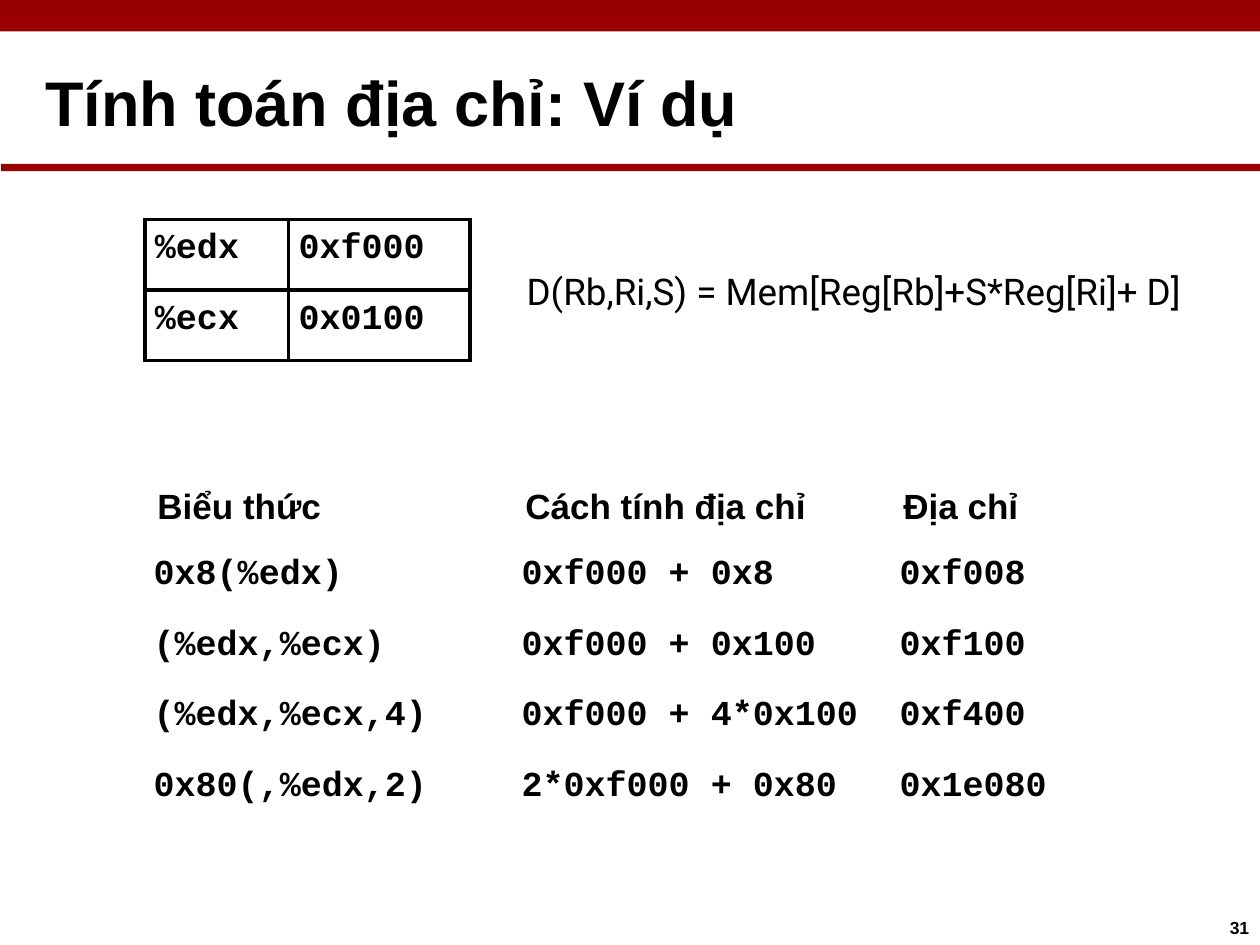
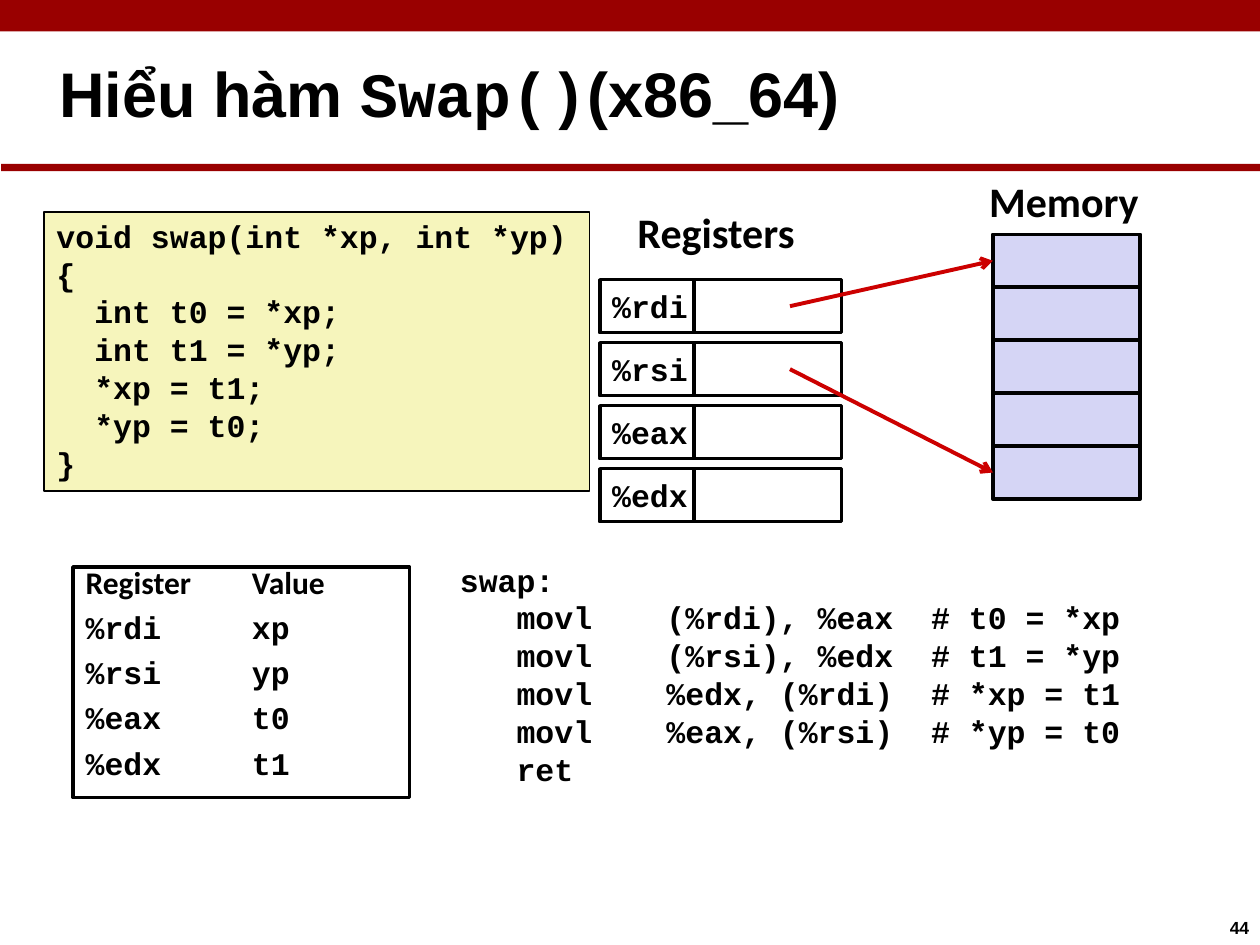
from dataclasses import dataclass

from lxml import etree
from pptx import Presentation
from pptx.dml.color import RGBColor
from pptx.enum.shapes import MSO_CONNECTOR, MSO_SHAPE
from pptx.enum.text import MSO_ANCHOR, MSO_AUTO_SIZE, PP_ALIGN
from pptx.oxml.ns import qn
from pptx.util import Inches, Pt


@dataclass(frozen=True)
class TextStyle:
    font: str
    size: float
    bold: bool = True
    pitch: float = 0  # exact line distance in points, 0 for natural


@dataclass(frozen=True)
class Theme:
    band: str = "990000"
    ink: str = "000000"
    paper: str = "FFFFFF"
    code_fill: str = "F6F5BC"
    memory_fill: str = "D5D5F5"
    arrow: str = "CC0000"
    title: TextStyle = TextStyle("Arial", 36)
    title_code: TextStyle = TextStyle("Courier New", 36)
    column_head: TextStyle = TextStyle("Arial", 20, pitch=22.1)
    value: TextStyle = TextStyle("Courier New", 20, pitch=20.7)
    cell: TextStyle = TextStyle("Courier New", 20)
    formula: TextStyle = TextStyle("Roboto", 21, bold=False)
    code: TextStyle = TextStyle("Courier New", 18, pitch=21.6)
    caption: TextStyle = TextStyle("Calibri", 24)
    list_head: TextStyle = TextStyle("Calibri", 18, pitch=25.8)
    list_code: TextStyle = TextStyle("Courier New", 18, pitch=25.8)
    page_number: TextStyle = TextStyle("Arial", 10)


@dataclass(frozen=True)
class Line:
    spans: tuple
    indent: float = 0


def lines(style, *texts, indent=0):
    """Make one line per text, all in the same style."""
    return [Line(((text, style),), indent) for text in texts]


def assign(target, values):
    for name, value in values.items():
        setattr(target, name, value)


def inches(*lengths):
    return [Inches(length) for length in lengths]


class SlideBuilder:
    def __init__(self, deck, theme):
        self.deck = deck
        self.theme = theme
        self.page = None

    def start(self, title_spans, title_inset, number):
        """Add a page with its title, bands and page number."""
        self.page = self.deck.slides.add_slide(self.deck.slide_layouts[5])
        title = self.page.shapes.title
        left, top, width, height = inches(0, 0.24, 10, 1.1)
        assign(title, {"left": left, "top": top, "width": width, "height": height})
        self.fill_text(title.text_frame, [Line(title_spans)], title_inset)
        self.rect(0, 0, 10, 0.25, fill=self.theme.band)
        self.rect(0.01, 1.3, 9.99, 0.06, fill=self.theme.band)
        self.text(9.72, 7.27, 0.28, 0.2, lines(self.theme.page_number, number), (0.04, 0.01))

    def fill_text(self, frame, content, inset=(0, 0), anchor=MSO_ANCHOR.TOP):
        assign(frame, {
            "word_wrap": True,
            "auto_size": MSO_AUTO_SIZE.NONE,
            "vertical_anchor": anchor,
            "margin_left": Inches(inset[0]),
            "margin_top": Inches(inset[1]),
            "margin_right": 0,
            "margin_bottom": 0,
        })
        for index, line in enumerate(content):
            para = frame.add_paragraph() if index else frame.paragraphs[0]
            para.alignment = PP_ALIGN.LEFT
            if line.indent:
                para._p.get_or_add_pPr().set("marL", str(Inches(line.indent)))
            pitch = line.spans[0][1].pitch
            if pitch:
                para.line_spacing = Pt(pitch)
            for text, style in line.spans:
                span = para.add_run()
                span.text = text
                assign(span.font, {"name": style.font, "size": Pt(style.size), "bold": style.bold})
                span.font.color.rgb = RGBColor.from_string(self.theme.ink)

    def text(self, left, top, width, height, content, inset=(0, 0)):
        box = self.page.shapes.add_textbox(*inches(left, top, width, height))
        self.fill_text(box.text_frame, content, inset)

    def rect(self, left, top, width, height, fill=None, line=0):
        box = self.page.shapes.add_shape(
            MSO_SHAPE.RECTANGLE, *inches(left, top, width, height))
        box.shadow.inherit = False
        if fill:
            box.fill.solid()
            box.fill.fore_color.rgb = RGBColor.from_string(fill)
        else:
            box.fill.background()
        if line:
            box.line.width = Pt(line)
            box.line.color.rgb = RGBColor.from_string(self.theme.ink)
        else:
            box.line.fill.background()
        return box

    def table(self, left, top, column_widths, row_height, rows):
        size = inches(left, top, sum(column_widths), row_height * len(rows))
        table = self.page.shapes.add_table(len(rows), len(column_widths), *size).table
        assign(table, {"first_row": False, "horz_banding": False})
        for column, width in zip(table.columns, column_widths):
            column.width = Inches(width)
        for row, values in zip(table.rows, rows):
            row.height = Inches(row_height)
            for cell, value in zip(row.cells, values):
                self.fill_text(cell.text_frame, lines(self.theme.cell, value))
                assign(cell, {"margin_left": Inches(0.08), "margin_top": Inches(0.08),
                              "margin_right": 0, "margin_bottom": 0})
                cell.text_frame.paragraphs[0].space_before = Pt(5.7)
                self.border(cell)
                cell.fill.background()

    def border(self, cell):
        properties = cell._tc.get_or_add_tcPr()
        for side in ("lnL", "lnR", "lnT", "lnB"):
            edge = etree.SubElement(properties, qn(f"a:{side}"), w=str(Pt(2.25)))
            solid = etree.SubElement(edge, qn("a:solidFill"))
            etree.SubElement(solid, qn("a:srgbClr"), val=self.theme.ink)

    def arrow(self, left, top, target):
        """Point from a place to the middle of the target's left side."""
        start = inches(left, top)
        arrow = self.page.shapes.add_connector(MSO_CONNECTOR.STRAIGHT, *start, *start)
        arrow.end_connect(target, 1)
        arrow.line.width = Pt(2.25)
        arrow.line.color.rgb = RGBColor.from_string(self.theme.arrow)
        etree.SubElement(arrow.line._get_or_add_ln(), qn("a:tailEnd"), type="arrow")
        etree.SubElement(arrow._element.spPr, qn("a:effectLst"))


def build_address_slide(builder):
    theme = builder.theme
    builder.start((("Tính toán địa chỉ: Ví dụ", theme.title),), (0.36, 0.26), "31")
    builder.table(1.15, 1.74, (1.14, 1.44), 0.56,
                  (("%edx", "0xf000"), ("%ecx", "0x0100")))
    builder.text(4.17, 2.11, 5.7, 0.38,
                 lines(theme.formula, "D(Rb,Ri,S) = Mem[Reg[Rb]+S*Reg[Ri]+ D]"), (0.01, 0.02))

    columns = (
        (1.22, 2.8, "Biểu thức",
         ("0x8(%edx)", "(%edx,%ecx)", "(%edx,%ecx,4)", "0x80(,%edx,2)")),
        (4.14, 2.9, "Cách tính địa chỉ",
         ("0xf000 + 0x8", "0xf000 + 0x100", "0xf000 + 4*0x100", "2*0xf000 + 0x80")),
        (7.14, 1.5, "Địa chỉ",
         ("0xf008", "0xf100", "0xf400", "0x1e080")),
    )
    for left, width, heading, values in columns:
        builder.text(left + 0.03, 3.87, width, 0.31, lines(theme.column_head, heading))
        for row, value in enumerate(values):
            builder.text(left, 4.41 + 0.56 * row, width, 0.32, lines(theme.value, value))


def build_swap_slide(builder):
    theme = builder.theme
    builder.start((("Hiểu hàm ", theme.title), ("Swap()", theme.title_code),
                   ("(x86_64)", theme.title)), (0.47, 0.19), "44")

    source = builder.rect(0.35, 1.68, 4.33, 2.22, theme.code_fill, 1)
    body = ("int t0 = *xp;", "int t1 = *yp;", "*xp = t1;", "*yp = t0;")
    builder.fill_text(source.text_frame,
                      lines(theme.code, "void swap(int *xp, int *yp)", "{")
                      + lines(theme.code, *body, indent=0.3)
                      + lines(theme.code, "}"), (0.1, 0.04))

    registers = ("%rdi", "%rsi", "%eax", "%edx")
    builder.text(5.05, 1.62, 1.5, 0.43, lines(theme.caption, "Registers"), (0.01, 0.02))
    for row, register in enumerate(registers):
        top = 2.22 + 0.5 * row
        label = builder.rect(4.76, top, 0.75, 0.42, line=2)
        builder.fill_text(label.text_frame, lines(theme.code, register), (0.1, 0),
                          MSO_ANCHOR.MIDDLE)
        builder.rect(5.51, top, 1.17, 0.42, theme.paper, 2)

    builder.text(7.84, 1.37, 1.5, 0.43, lines(theme.caption, "Memory"), (0.01, 0.02))
    memory = [builder.rect(7.88, 1.86 + 0.42 * row, 1.17, 0.42, theme.memory_fill, 2)
              for row in range(5)]
    builder.arrow(6.27, 2.43, memory[0])
    builder.arrow(6.27, 2.93, memory[-1])

    builder.rect(0.58, 4.5, 2.67, 1.83, line=2)
    register_columns = (
        (0.68, "Register", registers),
        (2, "Value", ("xp", "yp", "t0", "t1")),
    )
    for left, heading, values in register_columns:
        builder.text(left, 4.41, 1.2, 1.82,
                     lines(theme.list_head, heading) + lines(theme.list_code, *values))

    opcodes = ("movl",) * 4 + ("ret",)
    operands = ("(%rdi), %eax", "(%rsi), %edx", "%edx, (%rdi)", "%eax, (%rsi)")
    comments = ("# t0 = *xp", "# t1 = *yp", "# *xp = t1", "# *yp = t0")
    assembly_columns = (
        (3.64, 4.43, 1.2, lines(theme.code, "swap:") + lines(theme.code, *opcodes, indent=0.45)),
        (5.28, 4.73, 2, lines(theme.code, *operands)),
        (7.38, 4.73, 1.7, lines(theme.code, *comments)),
    )
    for left, top, width, content in assembly_columns:
        builder.text(left, top, width, 0.3 * len(content) + 0.03, content, (0.01, 0.02))


def main():
    deck = Presentation()
    assign(deck, {"slide_width": Inches(10), "slide_height": Inches(7.5)})
    builder = SlideBuilder(deck, Theme())
    build_address_slide(builder)
    build_swap_slide(builder)
    deck.save("out.pptx")


if __name__ == "__main__":
    main()
